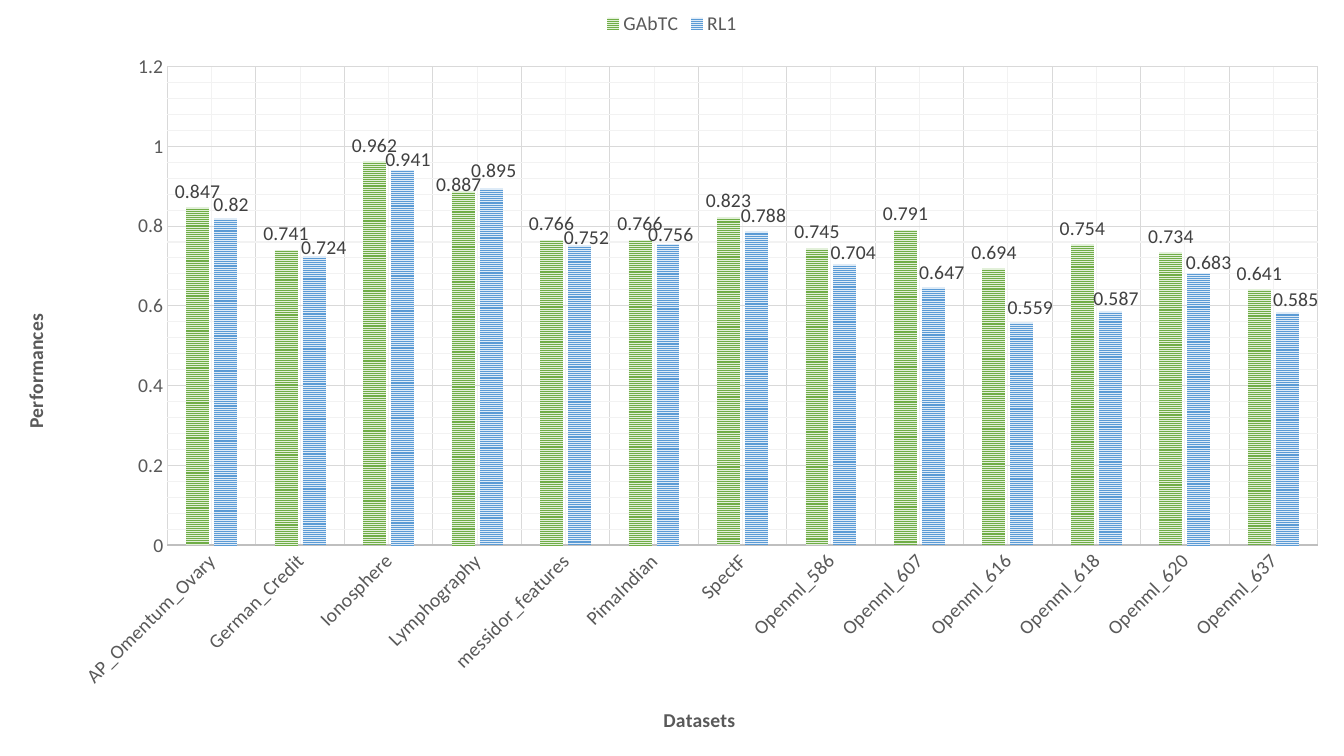
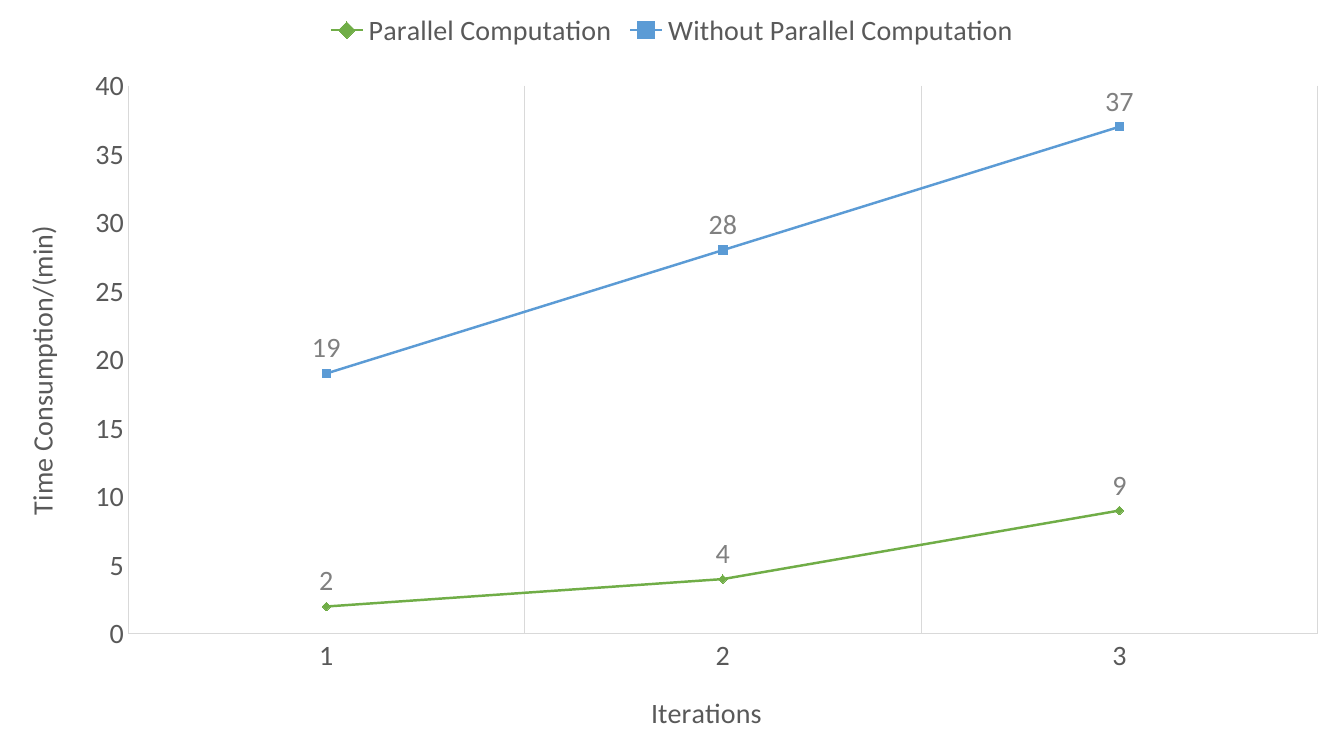
from lxml import etree
from pptx import Presentation
from pptx.chart.data import CategoryChartData
from pptx.dml.color import RGBColor
from pptx.enum.chart import (XL_CHART_TYPE as CHART, XL_LABEL_POSITION as LABEL,
                             XL_LEGEND_POSITION as LEGEND, XL_MARKER_STYLE as MARKER,
                             XL_TICK_MARK as TICK)
from pptx.enum.dml import MSO_PATTERN as PATTERN
from pptx.oxml.ns import qn
from pptx.util import Inches, Pt

GREEN = RGBColor(0x70, 0xAD, 0x47)
PALE_GREEN = RGBColor(0xE2, 0xF0, 0xD9)
BLUE = RGBColor(0x5B, 0x9B, 0xD5)
PALE_BLUE = RGBColor(0xDE, 0xEB, 0xF7)
TEXT = RGBColor(0x59, 0x59, 0x59)
DARK = RGBColor(0x40, 0x40, 0x40)
GRAY = RGBColor(0x80, 0x80, 0x80)
AXIS = RGBColor(0xBF, 0xBF, 0xBF)
GRID = RGBColor(0xD9, 0xD9, 0xD9)
MINOR_GRID = RGBColor(0xF2, 0xF2, 0xF2)
FONT = "Calibri"
WIDTH, HEIGHT = Inches(13.33), Inches(7.5)

DATASETS = ["AP_Omentum_Ovary", "German_Credit", "Ionosphere", "Lymphography",
            "messidor_features", "PimaIndian", "SpectF", "Openml_586", "Openml_607",
            "Openml_616", "Openml_618", "Openml_620", "Openml_637"]
PERFORMANCES = {
    "GAbTC": [0.847, 0.741, 0.962, 0.887, 0.766, 0.766, 0.823, 0.745, 0.791,
              0.694, 0.754, 0.734, 0.641],
    "RL1": [0.82, 0.724, 0.941, 0.895, 0.752, 0.756, 0.788, 0.704, 0.647,
            0.559, 0.587, 0.683, 0.585],
}
# Label shifts in points (right, down), by point index
LABEL_SHIFTS = {
    "GAbTC": {3: (-3, 7)},
    "RL1": dict(enumerate([(4, 2), (7, 5), (4, 4), (2, -1), (5, 6), (2, 5), (5, 1),
                           (6, 3), (6, 1), (6, 1), (4, 3), (7, 4), (6, 3)])),
}
TIMES = {"Parallel Computation": [2, 4, 9],
         "Without Parallel Computation": [19, 28, 37]}


def style_font(font, size, color=TEXT, bold=False):
    font.name, font.size, font.bold = FONT, Pt(size), bold
    font.color.rgb = color


def style_line(line, color, width=0.75):
    line.color.rgb = color
    line.width = Pt(width)


def add_element(parent, tag, **attributes):
    child = etree.SubElement(parent, qn(tag))
    for name, value in attributes.items():
        child.set(name, str(value))
    return child


def manual_layout(**values):
    """Return a c:layout element holding the given children in order."""
    layout = etree.Element(qn("c:layout"))
    manual = add_element(layout, "c:manualLayout")
    for tag, value in values.items():
        add_element(manual, f"c:{tag}", val=value)
    return layout


class ChartDeck:
    def __init__(self):
        self.prs = Presentation()
        self.prs.slide_width, self.prs.slide_height = WIDTH, HEIGHT

    def add_chart(self, kind, categories, series, size):
        """Start a slide filled by one chart with its legend on top."""
        self.size = size
        data = CategoryChartData()
        data.categories = categories
        for name, values in series.items():
            data.add_series(name, values)
        s = self.prs.slides.add_slide(self.prs.slide_layouts[6])
        self.chart = s.shapes.add_chart(kind, 0, 0, WIDTH, HEIGHT, data).chart
        self.chart.has_title = False
        self.chart.font.name, self.chart.font.size = FONT, Pt(size)
        self.chart.has_legend = True
        legend = self.chart.legend
        legend.position, legend.include_in_layout = LEGEND.TOP, False
        style_font(legend.font, size)
        plot = self.chart.plots[0]
        plot.vary_by_categories = False
        return plot

    def place_plot(self, x, y, w, h):
        """Set the inner plot area in inches."""
        area = self.chart.element.xpath("c:chart/c:plotArea")[0]
        for old in area.findall(qn("c:layout")):
            area.remove(old)
        area.insert(0, manual_layout(
            layoutTarget="inner", xMode="edge", yMode="edge",
            x=Inches(x) / WIDTH, y=Inches(y) / HEIGHT,
            w=Inches(w) / WIDTH, h=Inches(h) / HEIGHT))

    def format_axis(self, axis, title, bold=False, line=None, width=0.75, grid=True):
        axis.major_tick_mark = axis.minor_tick_mark = TICK.NONE
        style_font(axis.tick_labels.font, self.size)
        if line is None:
            axis.format.line.fill.background()
        else:
            style_line(axis.format.line, line, width)
        axis.has_major_gridlines = grid
        if grid:
            style_line(axis.major_gridlines.format.line, GRID)
        self.add_axis_title(axis, title, bold=bold)

    def add_minor_grid(self, axis):
        axis.has_minor_gridlines = True
        gridlines = axis._element.find(qn("c:minorGridlines"))
        line = add_element(add_element(gridlines, "c:spPr"), "a:ln", w=Pt(0.75))
        add_element(add_element(line, "a:solidFill"), "a:srgbClr", val=MINOR_GRID)

    def add_axis_title(self, axis, text, **style):
        p = axis.axis_title.text_frame.paragraphs[0]
        r = p.add_run()
        r.text = text
        style_font(r.font, self.size, **style)

    def rotate(self, target, degrees):
        body = self.chart.element.xpath(f"c:chart/c:plotArea/{target}//a:bodyPr")[0]
        body.set("rot", str(degrees * 60000))
        body.set("vert", "horz")

    def label_values(self, ser, position, color):
        labels = ser.data_labels
        labels.show_value, labels.position = True, position
        style_font(labels.font, self.size, color)

    def shift_label(self, ser, index, shift, position, color):
        label = ser.points[index].data_label
        style_font(label.font, self.size, color)
        label.position = position
        right, down = shift
        idx = ser.data_labels._element.xpath(f"c:dLbl/c:idx[@val='{index}']")[0]
        idx.addnext(manual_layout(x=Pt(right) / WIDTH, y=Pt(down) / HEIGHT))


def add_performance_slide(deck):
    plot = deck.add_chart(CHART.COLUMN_CLUSTERED, DATASETS, PERFORMANCES, 14)
    plot.gap_width, plot.overlap = 164, -22
    deck.place_plot(1.66, 0.66, 11.41, 4.75)
    categories, values = deck.chart.category_axis, deck.chart.value_axis
    deck.format_axis(categories, "Datasets", bold=True, line=AXIS, width=1.5)
    deck.format_axis(values, "Performances", bold=True)
    for axis in (categories, values):
        deck.add_minor_grid(axis)
    deck.rotate("c:catAx/c:txPr", -45)
    deck.rotate("c:valAx/c:title", -90)
    for ser, colors in zip(plot.series, [(GREEN, PALE_GREEN), (BLUE, PALE_BLUE)]):
        ser.invert_if_negative = False
        fill = ser.format.fill
        fill.patterned()
        fill.pattern = PATTERN.NARROW_HORIZONTAL
        fill.fore_color.rgb, fill.back_color.rgb = colors
        ser.format.line.fill.background()
        deck.label_values(ser, LABEL.OUTSIDE_END, DARK)
        for index, shift in LABEL_SHIFTS[ser.name].items():
            deck.shift_label(ser, index, shift, LABEL.OUTSIDE_END, DARK)


def add_time_slide(deck):
    plot = deck.add_chart(CHART.LINE_MARKERS, ["1", "2", "3"], TIMES, 20)
    deck.place_plot(1.27, 0.85, 11.8, 5.44)
    deck.format_axis(deck.chart.category_axis, "Iterations", line=GRID)
    deck.format_axis(deck.chart.value_axis, "Time Consumption/(min)",
                     line=GRID, grid=False)
    deck.rotate("c:valAx/c:title", -90)
    styles = [(GREEN, MARKER.DIAMOND), (BLUE, MARKER.SQUARE)]
    for ser, (color, marker) in zip(plot.series, styles):
        ser.smooth = False
        style_line(ser.format.line, color, 1.75)
        ser.marker.style, ser.marker.size = marker, 6
        ser.marker.format.fill.solid()
        ser.marker.format.fill.fore_color.rgb = color
        style_line(ser.marker.format.line, color)
        deck.label_values(ser, LABEL.ABOVE, GRAY)


def main():
    deck = ChartDeck()
    add_performance_slide(deck)
    add_time_slide(deck)
    deck.prs.save("out.pptx")


if __name__ == "__main__":
    main()
